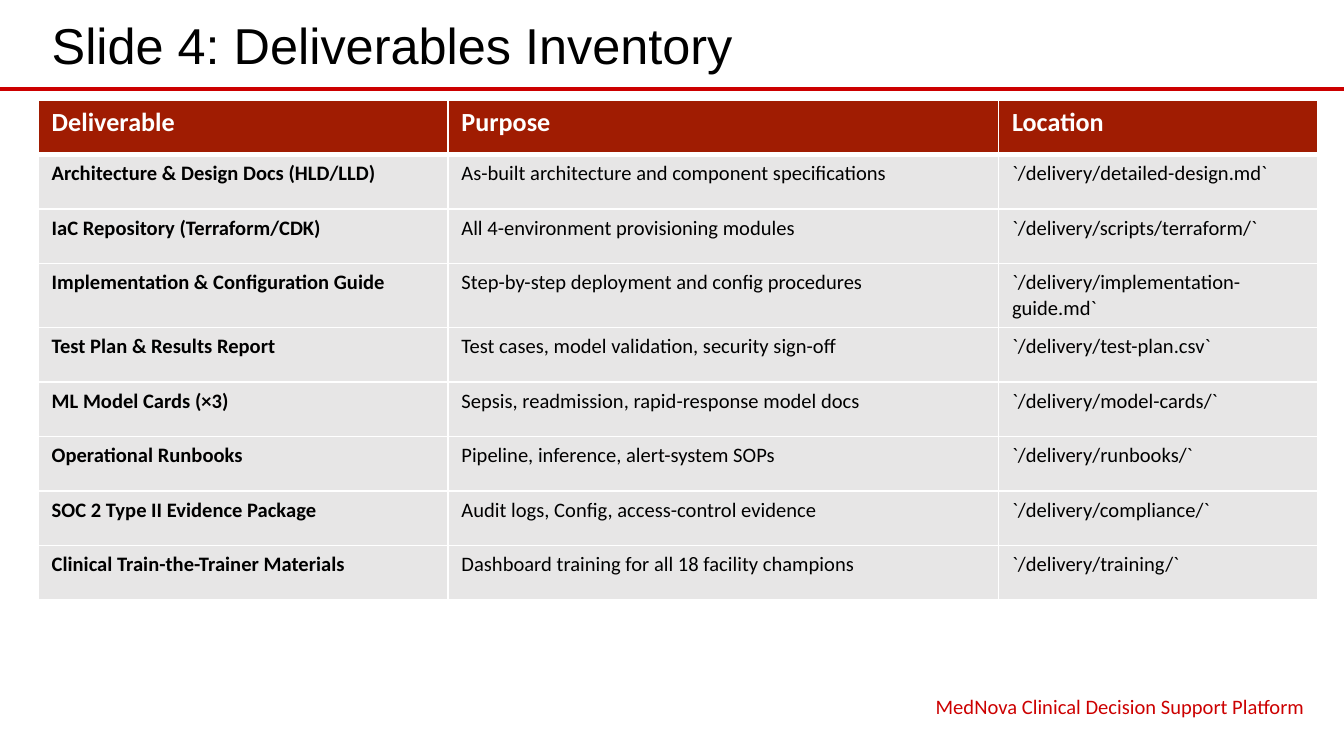
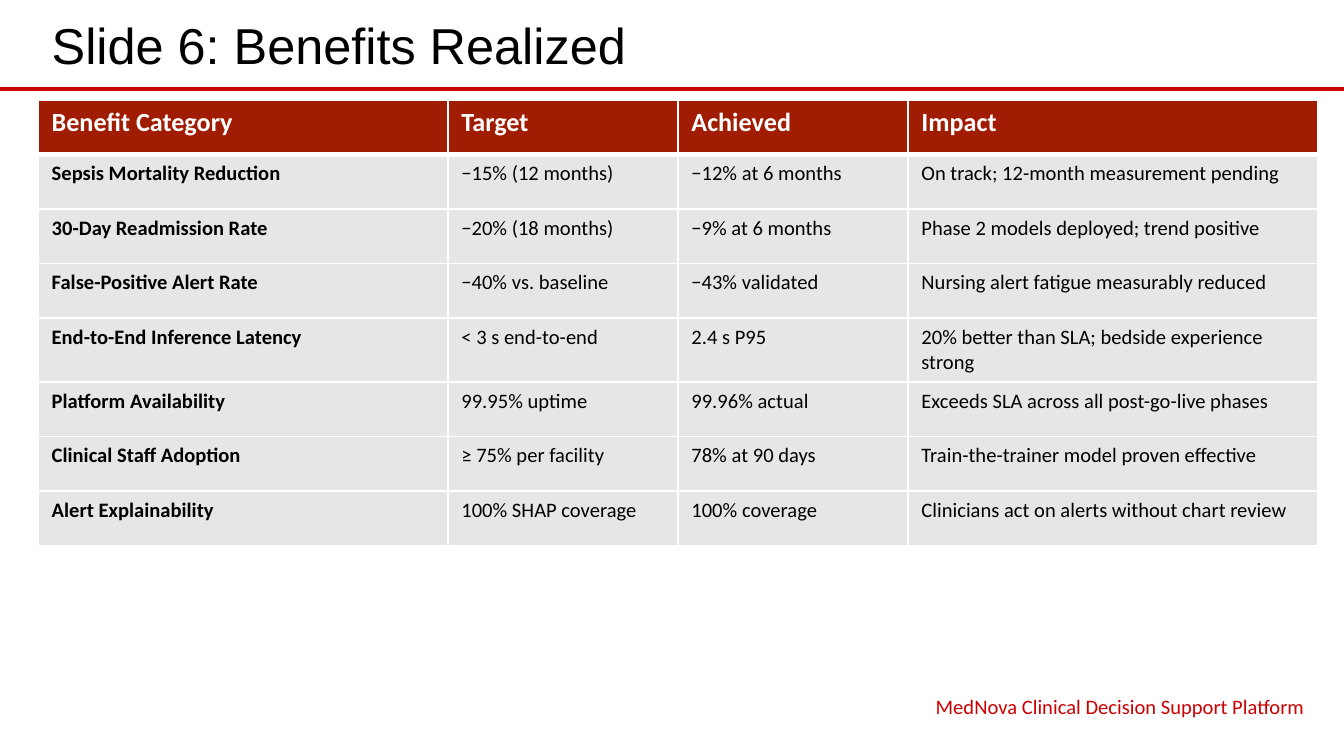
from lxml import etree
from pptx import Presentation
from pptx.dml.color import RGBColor
from pptx.enum import shapes, text
from pptx.oxml import ns
from pptx.util import Pt

RED = RGBColor(0xCC, 0x00, 0x00)
BRICK = RGBColor(0xA0, 0x1C, 0x02)
GREY = RGBColor(0xE7, 0xE6, 0xE6)
WHITE = RGBColor(0xFF, 0xFF, 0xFF)
BLACK = RGBColor(0x00, 0x00, 0x00)

SLIDE_W, SLIDE_H = 720, 405
LEFT, WIDTH = 20.5, 685.5
RULE_Y = 47.5
TABLE_TOP, ROW_H = 53.5, 29.2
FOOTER = "MedNova Clinical Decision Support Platform"

TITLE_FONT = {"name": "Arial", "size": Pt(27), "bold": False}
HEADER_FONT = {"name": "Calibri", "size": Pt(14), "bold": True}
BODY_FONT = {"name": "Calibri", "size": Pt(11), "bold": False}
LABEL_FONT = {**BODY_FONT, "bold": True}

DELIVERABLES = [
    ("Deliverable", "Purpose", "Location"),
    ("Architecture & Design Docs (HLD/LLD)",
     "As-built architecture and component specifications",
     "`/delivery/detailed-design.md`"),
    ("IaC Repository (Terraform/CDK)",
     "All 4-environment provisioning modules",
     "`/delivery/scripts/terraform/`"),
    ("Implementation & Configuration Guide",
     "Step-by-step deployment and config procedures",
     "`/delivery/implementation-guide.md`"),
    ("Test Plan & Results Report",
     "Test cases, model validation, security sign-off",
     "`/delivery/test-plan.csv`"),
    ("ML Model Cards (×3)",
     "Sepsis, readmission, rapid-response model docs",
     "`/delivery/model-cards/`"),
    ("Operational Runbooks",
     "Pipeline, inference, alert-system SOPs",
     "`/delivery/runbooks/`"),
    ("SOC 2 Type II Evidence Package",
     "Audit logs, Config, access-control evidence",
     "`/delivery/compliance/`"),
    ("Clinical Train-the-Trainer Materials",
     "Dashboard training for all 18 facility champions",
     "`/delivery/training/`"),
]

BENEFITS = [
    ("Benefit Category", "Target", "Achieved", "Impact"),
    ("Sepsis Mortality Reduction", "−15% (12 months)", "−12% at 6 months",
     "On track; 12-month measurement pending"),
    ("30-Day Readmission Rate", "−20% (18 months)", "−9% at 6 months",
     "Phase 2 models deployed; trend positive"),
    ("False-Positive Alert Rate", "−40% vs. baseline", "−43% validated",
     "Nursing alert fatigue measurably reduced"),
    ("End-to-End Inference Latency", "< 3 s end-to-end", "2.4 s P95",
     "20% better than SLA; bedside experience strong"),
    ("Platform Availability", "99.95% uptime", "99.96% actual",
     "Exceeds SLA across all post-go-live phases"),
    ("Clinical Staff Adoption", "≥ 75% per facility", "78% at 90 days",
     "Train-the-trainer model proven effective"),
    ("Alert Explainability", "100% SHAP coverage", "100% coverage",
     "Clinicians act on alerts without chart review"),
]


def write(tf, content, font, color, align=text.PP_ALIGN.LEFT):
    p = tf.paragraphs[0]
    p.alignment = align
    r = p.add_run()
    r.text = content
    for key, value in font.items():
        setattr(r.font, key, value)
    r.font.color.rgb = color


def frame(sp):
    """Make the shape's text wrap, sit mid-height and keep its size."""
    tf = sp.text_frame
    for key, value in {"word_wrap": True,
                       "auto_size": text.MSO_AUTO_SIZE.NONE,
                       "vertical_anchor": text.MSO_ANCHOR.MIDDLE}.items():
        setattr(tf, key, value)
    return tf


def add_rule(s):
    line = s.shapes.add_connector(shapes.MSO_CONNECTOR.STRAIGHT,
                                  0, Pt(RULE_Y), Pt(SLIDE_W), Pt(RULE_Y))
    line.line.color.rgb = RED
    line.line.width = Pt(2.25)
    etree.SubElement(line._element.spPr, ns.qn("a:effectLst"))


def set_title(s, content):
    sp = s.shapes.title
    for key, value in {"left": LEFT, "top": 3, "width": WIDTH,
                       "height": 42}.items():
        setattr(sp, key, Pt(value))
    write(frame(sp), content, TITLE_FONT, BLACK)


def add_footer(s):
    width = 253.5
    sp = s.shapes.add_textbox(Pt(LEFT + WIDTH - width), Pt(369),
                              Pt(width), Pt(19))
    write(frame(sp), FOOTER, BODY_FONT, RED, text.PP_ALIGN.RIGHT)


def set_borders(cell, top, bottom):
    """Draw white borders; they must come before the fill in the cell."""
    tc_pr = cell._tc.get_or_add_tcPr()
    sides = {"lnL": 1, "lnR": 1, "lnT": top, "lnB": bottom}
    for i, (side, width) in enumerate(sides.items()):
        ln = etree.Element(ns.qn(f"a:{side}"), w=str(Pt(width)))
        fill = etree.SubElement(ln, ns.qn("a:solidFill"))
        etree.SubElement(fill, ns.qn("a:srgbClr"), val=str(WHITE))
        tc_pr.insert(i, ln)


def add_table(s, rows, widths):
    table = s.shapes.add_table(len(rows), len(widths), Pt(LEFT), Pt(TABLE_TOP),
                               Pt(sum(widths)), Pt(ROW_H * len(rows))).table
    table.horz_banding = False
    for column, width in zip(table.columns, widths):
        column.width = Pt(width)
    for i, values in enumerate(rows):
        table.rows[i].height = Pt(ROW_H)
        header = i == 0
        for j, value in enumerate(values):
            cell = table.cell(i, j)
            cell.fill.solid()
            cell.fill.fore_color.rgb = BRICK if header else GREY
            set_borders(cell, top=3 if i == 1 else 1, bottom=3 if header else 1)
            font = HEADER_FONT if header else BODY_FONT if j else LABEL_FONT
            write(cell.text_frame, value, font, WHITE if header else BLACK)


def add_table_slide(prs, title, rows, widths):
    s = prs.slides.add_slide(prs.slide_layouts[5])
    add_rule(s)
    set_title(s, title)
    add_table(s, rows, widths)
    add_footer(s)


def main():
    prs = Presentation()
    prs.slide_width, prs.slide_height = Pt(SLIDE_W), Pt(SLIDE_H)
    add_table_slide(prs, "Slide 4: Deliverables Inventory",
                    DELIVERABLES, (219.5, 295, 171))
    add_table_slide(prs, "Slide 6: Benefits Realized",
                    BENEFITS, (219.5, 123.25, 123.25, 219.5))
    prs.save("out.pptx")


if __name__ == "__main__":
    main()
